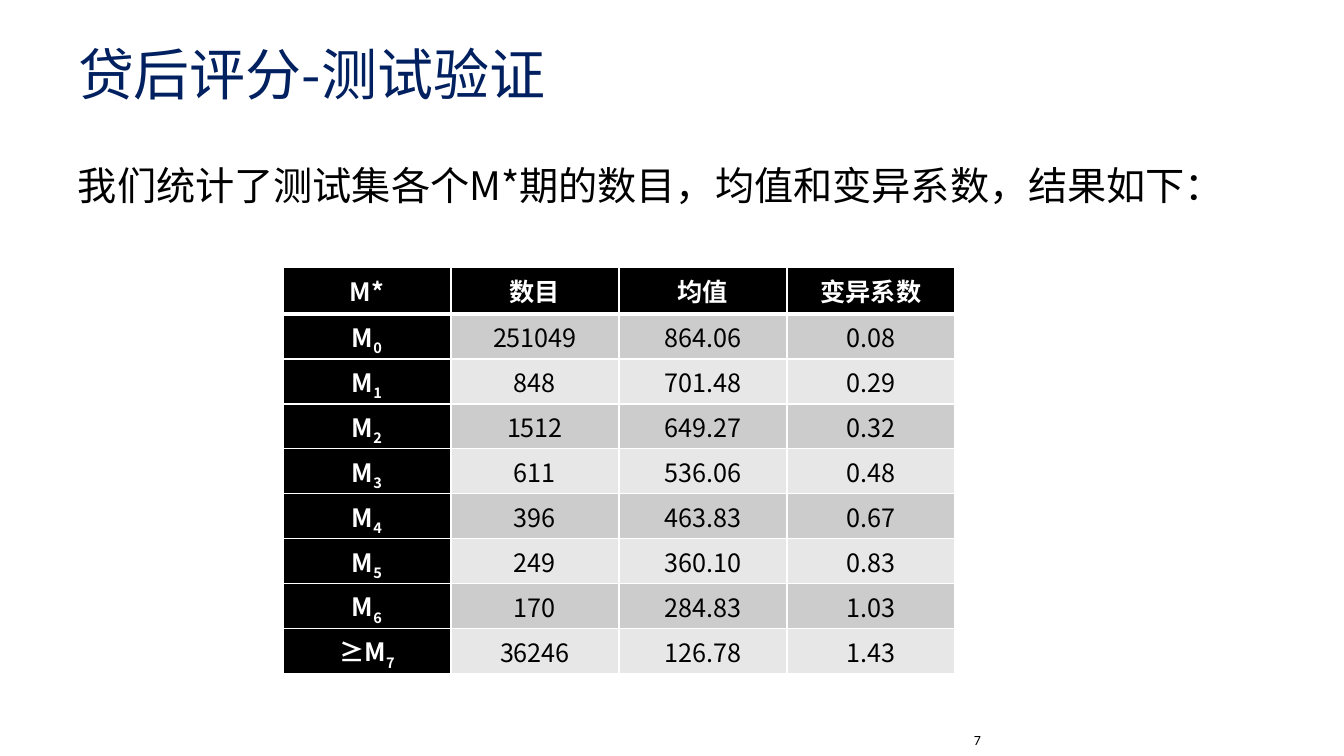
from dataclasses import dataclass

from lxml.etree import SubElement
from pptx import Presentation
from pptx.dml.color import RGBColor
from pptx.enum.text import MSO_ANCHOR, PP_ALIGN
from pptx.oxml.ns import qn
from pptx.util import Pt

EMU_PER_PX = 914400 / 100.8


@dataclass(frozen=True)
class Theme:
    title_color: str = "002060"
    ink: str = "000000"
    paper: str = "FFFFFF"
    bands: tuple = ("CCCCCC", "E7E7E7")
    title_font: str = "Noto Sans CJK SC"
    body_font: str = "Noto Sans CJK JP"
    number_font: str = "Calibri"
    title_size: int = 40
    body_size: int = 28
    table_size: int = 18
    number_size: int = 10
    rule: int = 1
    header_rule: int = 3


THEME = Theme()
HEADERS = ("M*", "数目", "均值", "变异系数")
RECORDS = (
    ("M", "0", "251049", "864.06", "0.08"),
    ("M", "1", "848", "701.48", "0.29"),
    ("M", "2", "1512", "649.27", "0.32"),
    ("M", "3", "611", "536.06", "0.48"),
    ("M", "4", "396", "463.83", "0.67"),
    ("M", "5", "249", "360.10", "0.83"),
    ("M", "6", "170", "284.83", "1.03"),
    ("≥M", "7", "36246", "126.78", "1.43"),
)


def px(length):
    return round(length * EMU_PER_PX)


def write(para, text, size=THEME.table_size, font=THEME.body_font,
          color=THEME.ink, bold=False, align=PP_ALIGN.LEFT, subscript=False):
    para.alignment = align
    span = para.add_run()
    span.text = text
    span.font.size = Pt(size)
    span.font.bold = bold
    span.font.color.rgb = RGBColor.from_string(color)
    span.font.name = font
    properties = span.font._element
    SubElement(properties, qn("a:ea"), typeface=font)
    if subscript:
        properties.set("baseline", "-25000")


def add_title(page, box, text):
    title = page.shapes.title
    title.left, title.top, title.width, title.height = map(px, box)
    title.text_frame.vertical_anchor = MSO_ANCHOR.MIDDLE
    write(title.text_frame.paragraphs[0], text, size=THEME.title_size,
          font=THEME.title_font, color=THEME.title_color)


def add_text(page, box, text, **text_format):
    frame = page.shapes.add_textbox(*map(px, box)).text_frame
    frame.word_wrap = True
    write(frame.paragraphs[0], text, **text_format)


def set_borders(cell, **widths):
    properties = cell._tc.get_or_add_tcPr()
    for position, side in enumerate(("L", "R", "T", "B")):
        width = Pt(widths.get(side, THEME.rule))
        line = SubElement(properties, qn(f"a:ln{side}"), w=str(width))
        fill = SubElement(line, qn("a:solidFill"))
        SubElement(fill, qn("a:srgbClr"), val=THEME.paper)
        properties.remove(line)
        properties.insert(position, line)


def style_cell(cell, color, **border_widths):
    cell.fill.solid()
    cell.fill.fore_color.rgb = RGBColor.from_string(color)
    cell.vertical_anchor = MSO_ANCHOR.MIDDLE
    cell.margin_top = cell.margin_bottom = px(4)
    set_borders(cell, **border_widths)
    return cell.text_frame.paragraphs[0]


def add_statistics(page, box, headers, records):
    left, top, width, height = box
    table = page.shapes.add_table(
        len(records) + 1, len(headers), *map(px, box)).table
    table.horz_banding = False
    row_height = height // (len(records) + 1)
    for column in table.columns:
        column.width = px(width // len(headers))
    for row in table.rows:
        row.height = px(row_height)
    table.rows[0].height = px(height - row_height * len(records))

    heading = {"color": THEME.paper, "bold": True, "align": PP_ALIGN.CENTER}
    for column, header in enumerate(headers):
        para = style_cell(table.cell(0, column), THEME.ink, B=THEME.header_rule)
        write(para, header, **heading)
    for row, (stage, index, *values) in enumerate(records, start=1):
        upper_rule = THEME.header_rule if row == 1 else THEME.rule
        para = style_cell(table.cell(row, 0), THEME.ink, T=upper_rule)
        write(para, stage, **heading)
        write(para, index, subscript=True, **heading)
        band = THEME.bands[(row - 1) % len(THEME.bands)]
        for column, value in enumerate(values, start=1):
            para = style_cell(table.cell(row, column), band, T=upper_rule)
            write(para, value, align=PP_ALIGN.CENTER)


def main():
    deck = Presentation()
    deck.slide_width, deck.slide_height = px(1344), px(756)
    page = deck.slides.add_slide(deck.slide_layouts[5])
    add_title(page, (68, 30, 932, 86), "贷后评分-测试验证")
    add_text(page, (964, 727, 313, 21), "7",
             size=THEME.number_size, font=THEME.number_font)
    add_text(page, (68, 156, 1159, 57),
             "我们统计了测试集各个M*期的数目，均值和变异系数，结果如下：",
             size=THEME.body_size)
    add_statistics(page, (283, 267, 672, 407), HEADERS, RECORDS)
    deck.save("out.pptx")


if __name__ == "__main__":
    main()
